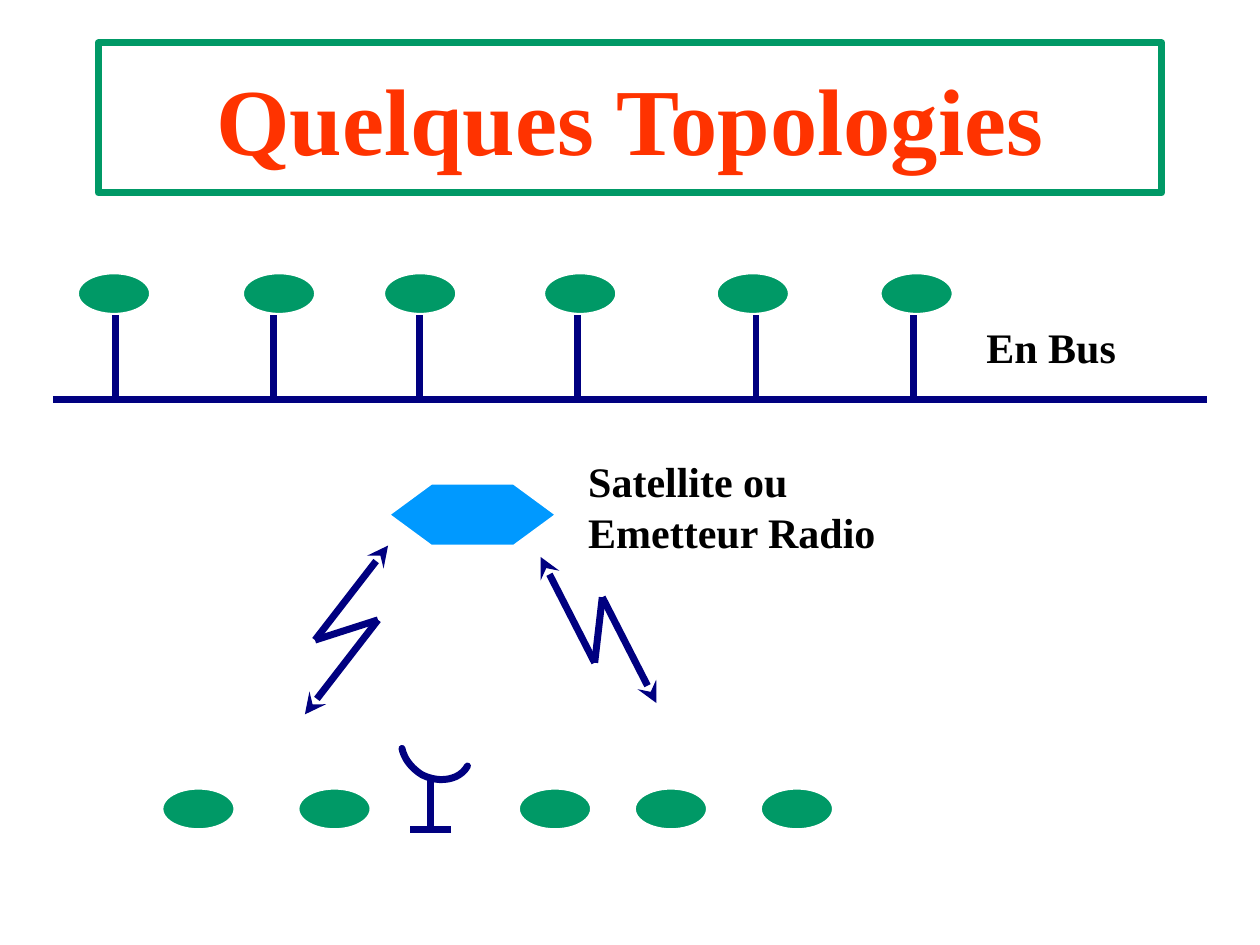
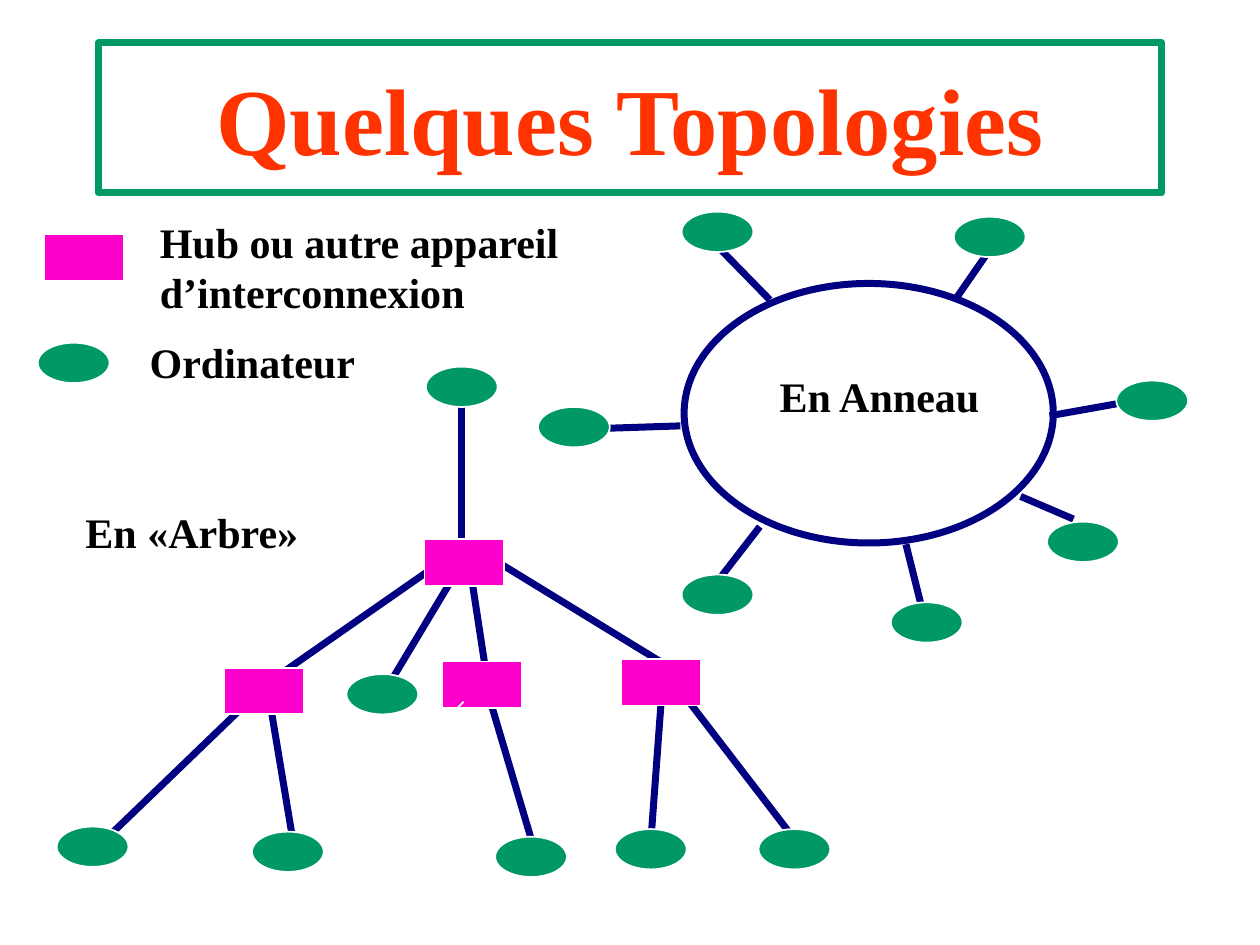
from lxml import etree
from pptx import Presentation
from pptx.dml.color import RGBColor
from pptx.enum.shapes import MSO_CONNECTOR, MSO_SHAPE
from pptx.enum.text import MSO_ANCHOR, PP_ALIGN
from pptx.oxml.ns import qn
from pptx.util import Cm, Pt

ELLIPSE, RECTANGLE, HEXAGON = MSO_SHAPE.OVAL, MSO_SHAPE.RECTANGLE, MSO_SHAPE.HEXAGON
STRAIGHT = MSO_CONNECTOR.STRAIGHT
MIDDLE, CENTER, LEFT = MSO_ANCHOR.MIDDLE, PP_ALIGN.CENTER, PP_ALIGN.LEFT

FONT = "Times New Roman"
GREEN, NAVY, PINK, SKY = "009966", "000080", "FF00CC", "0099FF"
RED, BLACK, WHITE = "FF3300", "000000", "FFFFFF"
THICK, THIN = 4, 1
CM_PER_UNIT = 2.54
COMPUTER_SIZE = (0.57, 0.32)
HUB_SIZE = (0.63, 0.37)

TITLE = "Quelques Topologies"
TITLE_BOX = (0.78, 0.34, 8.44, 1.19)

BUS_LABEL = (["En Bus"], (7.73, 2.5, 1.23, 0.5))
BUS_START, BUS_END, BUS_Y, DROP_Y = 0.42, 9.58, 3.17, 2.5
BUS_COMPUTER_Y = 2.17
BUS_COMPUTERS = [0.62, 1.93, 3.05, 4.32, 5.69, 6.99]
BUS_DROPS = [0.92, 2.17, 3.33, 4.58, 6, 7.25]

SATELLITE_LABEL = (["Satellite ou", "Emetteur Radio"], (4.57, 3.57, 2.49, 0.9))
SATELLITE_BOX = (3.09, 3.84, 1.32, 0.49)
RADIO_LINKS = [
    [(3.08, 4.33), (2.5, 5.08), (3, 4.92), (2.42, 5.67)],
    [(4.29, 4.42), (4.72, 5.26), (4.78, 4.74), (5.21, 5.58)],
]
RADIO_COMPUTER_Y = 6.26
RADIO_COMPUTERS = [1.29, 2.37, 4.12, 5.04, 6.04]
ANTENNA_STAND = [((3.42, 6.17), (3.42, 6.58)), ((3.58, 6.58), (3.25, 6.58))]
DISH_CURVES = [
    [(3.71, 6.08), (3.65, 6.19), (3.49, 6.22), (3.35, 6.15)],
    [(3.35, 6.15), (3.27, 6.1), (3.21, 6.03), (3.19, 5.94)],
]

RING_LABEL = (["En Anneau"], (6.09, 2.89, 1.8, 0.5))
RING_BOX = (5.43, 2.25, 2.93, 2.06)
RING_LINKS = [
    ((5.69, 1.95), (6.11, 2.38)),
    ((7.85, 1.99), (7.58, 2.38)),
    ((8.89, 3.2), (8.33, 3.3)),
    ((8.52, 4.12), (8.1, 3.94)),
    ((7.19, 4.32), (7.31, 4.8)),
    ((6.03, 4.18), (5.69, 4.62)),
    ((5.4, 3.38), (4.8, 3.4)),
]
RING_COMPUTERS = [(4.27, 3.23), (5.41, 1.68), (7.57, 1.72), (8.86, 3.02),
                  (5.41, 4.56), (7.07, 4.78), (8.31, 4.14)]

LEGEND_HUB, LEGEND_COMPUTER = (0.35, 1.86), (0.3, 2.72)
TREE_LABELS = [
    (["Hub ou autre appareil", "d’interconnexion"], (1.17, 1.67, 3.38, 0.9)),
    (["Ordinateur"], (1.09, 2.62, 1.83, 0.5)),
    (["En «Arbre»"], (0.58, 3.97, 2.12, 0.5)),
]
TREE_LINKS = [
    ((3.66, 3.19), (3.66, 4.31)),
    ((3.46, 4.49), (2.24, 5.34)),
    ((3.58, 4.61), (3.1, 5.41)),
    ((3.74, 4.57), (3.85, 5.29)),
    ((3.9, 4.43), (5.24, 5.25)),
    ((1.94, 5.6), (0.86, 6.64)),
    ((2.14, 5.56), (2.32, 6.64)),
    ((3.89, 5.56), (4.24, 6.74)),
    ((5.25, 5.53), (5.17, 6.62)),
    ((5.43, 5.52), (6.29, 6.64)),
]
TREE_HUBS = [(3.37, 4.28), (1.78, 5.3), (3.51, 5.25), (4.93, 5.23)]
TREE_COMPUTERS = [(3.38, 2.91), (2.75, 5.35), (0.45, 6.56), (2, 6.6),
                  (3.93, 6.64), (4.88, 6.58), (6.02, 6.58)]
WHITE_LINK = ((3.68, 5.57), (3.32, 5.93))


def color(value):
    return RGBColor.from_string(value)


def lengths(values):
    return [Cm(value * CM_PER_UNIT) for value in values]


def set_line(item, line_color, width):
    item.line.color.rgb = color(line_color)
    item.line.width = Pt(width)


def add_figure(slide, kind, box, fill=None, line=WHITE, width=THIN):
    shape = slide.shapes.add_shape(kind, *lengths(box))
    shape.shadow.inherit = False
    if fill:
        shape.fill.solid()
        shape.fill.fore_color.rgb = color(fill)
    else:
        shape.fill.background()
    set_line(shape, line, width)
    return shape


def add_computers(slide, corners):
    for corner in corners:
        add_figure(slide, ELLIPSE, (*corner, *COMPUTER_SIZE), GREEN)


def add_hubs(slide, corners):
    for corner in corners:
        add_figure(slide, RECTANGLE, (*corner, *HUB_SIZE), PINK)


def add_link(slide, start, end, line=NAVY, width=THICK, arrow=None):
    connector = slide.shapes.add_connector(STRAIGHT, *lengths((*start, *end)))
    set_line(connector, line, width)
    properties = connector._element.spPr
    if arrow:
        outline = properties.find(qn("a:ln"))
        etree.SubElement(outline, qn(arrow)).set("type", "stealth")
    etree.SubElement(properties, qn("a:effectLst"))


def add_links(slide, links):
    for start, end in links:
        add_link(slide, start, end)


def add_radio_link(slide, points):
    arrows = ["a:headEnd", None, "a:tailEnd"]
    for start, end, arrow in zip(points, points[1:], arrows):
        add_link(slide, start, end, arrow=arrow)


def add_text(slide, lines, box, size=24, text_color=BLACK, align=LEFT):
    shape = slide.shapes.add_textbox(*lengths(box))
    frame = shape.text_frame
    frame.word_wrap = False
    for index, line in enumerate(lines):
        paragraph = frame.add_paragraph() if index else frame.paragraphs[0]
        paragraph.alignment = align
        run = paragraph.add_run()
        run.text = line
        run.font.name = FONT
        run.font.size = Pt(size)
        run.font.bold = True
        run.font.color.rgb = color(text_color)
    return shape


def curve_point(controls, t):
    weights = ((1 - t) ** 3, 3 * t * (1 - t) ** 2, 3 * t * t * (1 - t), t ** 3)
    return [sum(w * point[axis] for w, point in zip(weights, controls))
            for axis in (0, 1)]


def add_dish(slide, steps=12):
    points = [lengths(curve_point(curve, step / steps))
              for curve in DISH_CURVES for step in range(steps + 1)]
    builder = slide.shapes.build_freeform(*points[0])
    builder.add_line_segments(points[1:], close=False)
    dish = builder.convert_to_shape()
    dish.shadow.inherit = False
    dish.fill.background()
    set_line(dish, NAVY, THICK)
    dish._element.spPr.find(qn("a:ln")).set("cap", "rnd")


def add_titled_slide(presentation):
    slide = presentation.slides.add_slide(presentation.slide_layouts[6])
    title = add_text(slide, [TITLE], TITLE_BOX, 54, RED, CENTER)
    title.text_frame.word_wrap = True
    title.text_frame.vertical_anchor = MIDDLE
    set_line(title, GREEN, THICK)
    return slide


def build_bus_and_radio(presentation):
    slide = add_titled_slide(presentation)
    add_computers(slide, [(x, BUS_COMPUTER_Y) for x in BUS_COMPUTERS])
    add_link(slide, (BUS_START, BUS_Y), (BUS_END, BUS_Y))
    add_links(slide, [((x, DROP_Y), (x, BUS_Y)) for x in BUS_DROPS])
    add_text(slide, *BUS_LABEL)

    satellite = add_figure(slide, HEXAGON, SATELLITE_BOX, SKY)
    satellite.adjustments[0] = 0.68
    for points in RADIO_LINKS:
        add_radio_link(slide, points)
    add_computers(slide, [(x, RADIO_COMPUTER_Y) for x in RADIO_COMPUTERS])
    add_links(slide, ANTENNA_STAND)
    add_dish(slide)
    add_text(slide, *SATELLITE_LABEL)


def build_ring_and_tree(presentation):
    slide = add_titled_slide(presentation)
    add_figure(slide, ELLIPSE, RING_BOX, line=NAVY, width=THICK)
    add_text(slide, *RING_LABEL)
    add_links(slide, RING_LINKS)
    add_computers(slide, RING_COMPUTERS)

    for label in TREE_LABELS:
        add_text(slide, *label)
    add_links(slide, TREE_LINKS)
    add_hubs(slide, [LEGEND_HUB, *TREE_HUBS])
    add_link(slide, *WHITE_LINK, line=WHITE, width=THIN)
    add_computers(slide, [LEGEND_COMPUTER, *TREE_COMPUTERS])


def main():
    presentation = Presentation()
    presentation.slide_width, presentation.slide_height = Cm(25.4), Cm(19.05)
    build_bus_and_radio(presentation)
    build_ring_and_tree(presentation)
    presentation.save("out.pptx")


if __name__ == "__main__":
    main()
